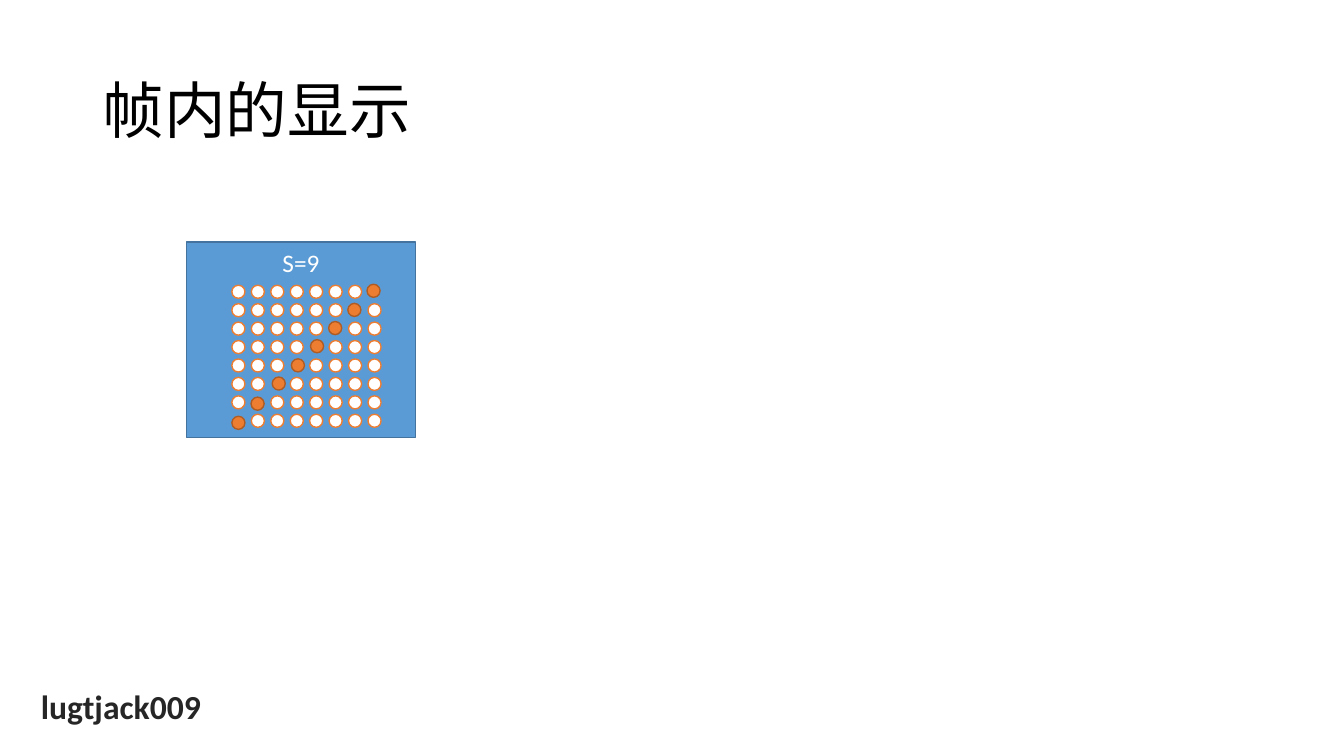
from pptx import Presentation
from pptx.dml.color import RGBColor
from pptx.enum.shapes import MSO_SHAPE
from pptx.enum.text import MSO_ANCHOR, PP_ALIGN
from pptx.util import Pt

RECTANGLE, OVAL = MSO_SHAPE.RECTANGLE, MSO_SHAPE.OVAL
TOP, MIDDLE = MSO_ANCHOR.TOP, MSO_ANCHOR.MIDDLE
LEFT, CENTER = PP_ALIGN.LEFT, PP_ALIGN.CENTER

# Content
TITLE = "帧内的显示"
PANEL_LABEL = "S=9"
AUTHOR = "lugtjack009"
FONT = "Calibri"
COLORS = {
    "black": "000000", "dark": "262626", "white": "FFFFFF",
    "blue": "5B9BD5", "blue_edge": "43739E",
    "orange": "ED7D31", "orange_edge": "AF5C24",
}

# Layout in px, 100 px to the inch
EMU_PER_PX = 9144
SLIDE_SIZE = (1333, 750)
TITLE_BOX = (92, 40, 1150, 145)
AUTHOR_BOX = (30, 676, 180, 50)
PANEL_BOX = (185, 240, 227, 194)
GRID_SIZE = 8
GRID_LEFT, GRID_TOP = 230, 283
GRID_WIDTH, GRID_HEIGHT = 135, 128  # first dot to last dot
DOT_SIZE = 13
# Lit dots sit slightly off the grid, from bottom left to top right
LIT_DOTS = [(230, 413), (249, 394), (270, 374), (289, 356),
            (308, 337), (326, 319), (345, 301), (364, 282)]


def emu(*lengths):
    return [round(length * EMU_PER_PX) for length in lengths]


def color(name):
    return RGBColor.from_string(COLORS[name])


def write(shape, text, size, color_name, align, anchor, bold=False, wrap=True):
    frame = shape.text_frame
    frame.word_wrap = wrap
    frame.vertical_anchor = anchor
    paragraph = frame.paragraphs[0]
    paragraph.alignment = align
    run = paragraph.add_run()
    run.text = text
    run.font.name = FONT
    run.font.size = Pt(size)
    run.font.bold = bold
    run.font.color.rgb = color(color_name)
    return paragraph


def add_filled(shapes, kind, box, fill, line):
    shape = shapes.add_shape(kind, *emu(*box))
    shape.shadow.inherit = False
    shape.fill.solid()
    shape.fill.fore_color.rgb = color(fill)
    shape.line.color.rgb = color(line)
    shape.line.width = Pt(1)
    return shape


def main():
    presentation = Presentation()
    presentation.slide_width, presentation.slide_height = emu(*SLIDE_SIZE)
    slide = presentation.slides.add_slide(presentation.slide_layouts[6])
    shapes = slide.shapes

    # Author and title
    author = shapes.add_textbox(*emu(*AUTHOR_BOX))
    write(author, AUTHOR, 24, "dark", CENTER, TOP, bold=True, wrap=False)
    title = shapes.add_textbox(*emu(*TITLE_BOX))
    write(title, TITLE, 44, "black", LEFT, MIDDLE).line_spacing = 0.9

    # Panel
    panel = add_filled(shapes, RECTANGLE, PANEL_BOX, "blue", "blue_edge")
    write(panel, PANEL_LABEL, 18, "white", CENTER, TOP)

    # Dot matrix: unlit everywhere except the rising diagonal
    dots = shapes.add_group_shape().shapes
    steps = GRID_SIZE - 1
    for row in range(GRID_SIZE):
        for column in range(GRID_SIZE):
            if row + column == steps:
                left, top = LIT_DOTS[column]
                fill, line = "orange", "orange_edge"
            else:
                left = GRID_LEFT + GRID_WIDTH * column / steps
                top = GRID_TOP + GRID_HEIGHT * row / steps
                fill, line = "white", "orange"
            add_filled(dots, OVAL, (left, top, DOT_SIZE, DOT_SIZE), fill, line)

    presentation.save("out.pptx")


if __name__ == "__main__":
    main()
